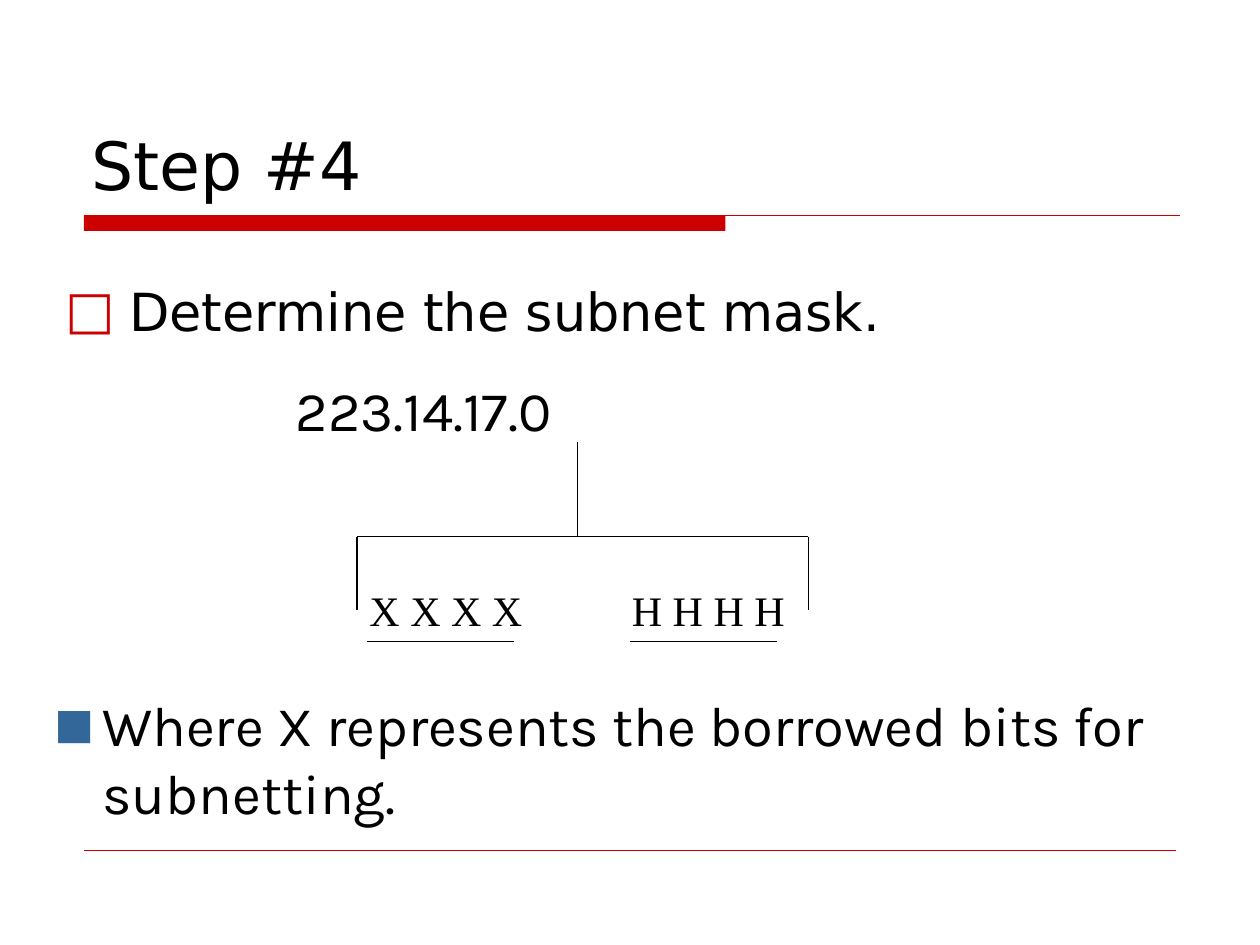
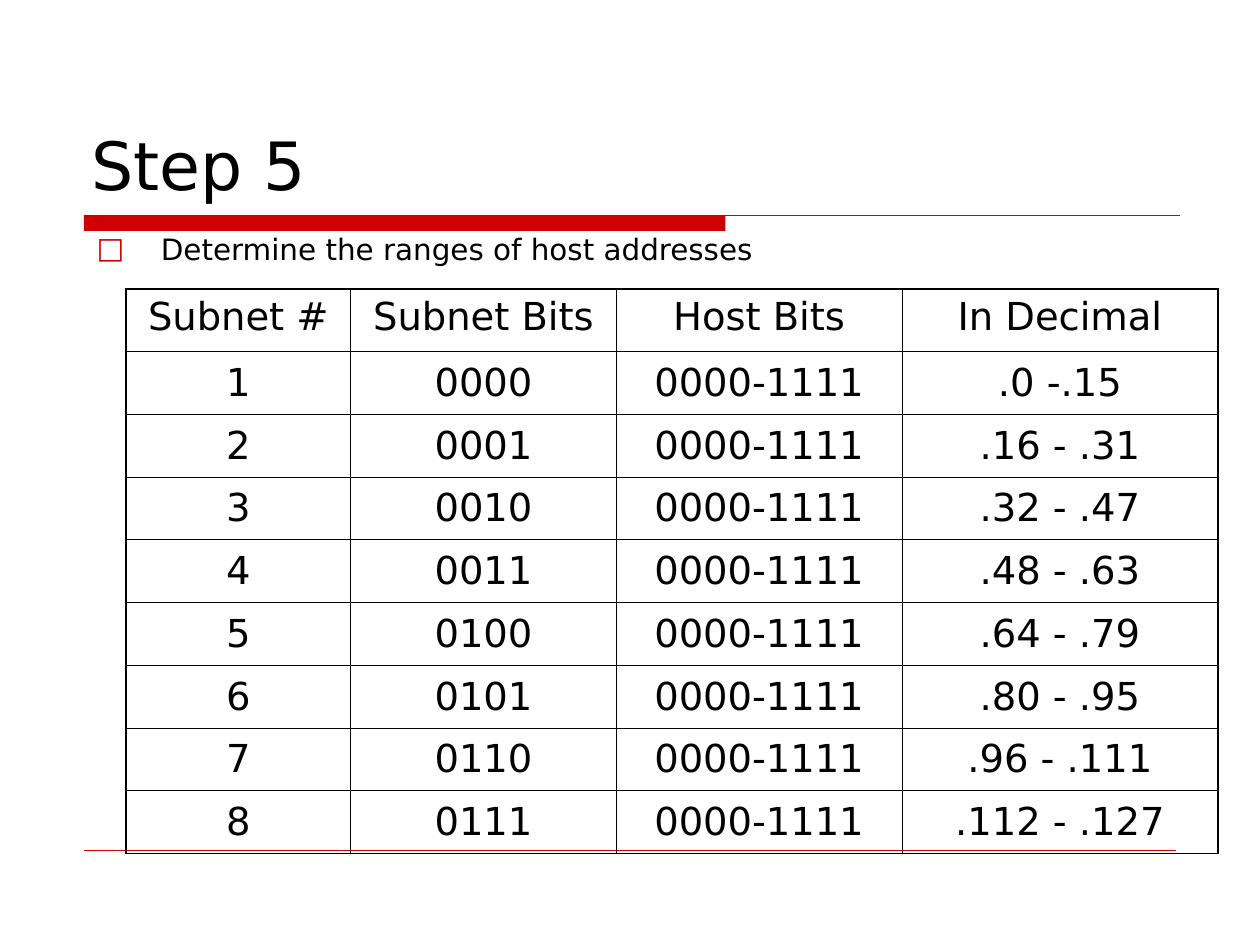
from lxml.etree import SubElement
from pptx import Presentation
from pptx.dml.color import RGBColor
from pptx.enum.shapes import MSO_CONNECTOR as Connector, MSO_SHAPE as Shape
from pptx.enum.text import MSO_ANCHOR as Anchor, MSO_AUTO_SIZE as AutoSize, PP_ALIGN as Align
from pptx.oxml.ns import qn
from pptx.util import Inches, Pt

COLUMNS, ROWS = 120, 90
UNIT = Inches(10) / COLUMNS
RED, BLUE, BLACK = "CC0000", "336699", "000000"
SANS, KARLA, SERIF = "DejaVu Sans", "Karla", "Times New Roman"
TITLE_AREA = (7.5, 4, 105, 16)
HOSTS_PER_SUBNET = 16


def color(hex_string):
    """Turn a hex string into a colour."""
    return RGBColor.from_string(hex_string)


def grid(*cells):
    """Convert grid units to slide lengths."""
    return [round(cell * UNIT) for cell in cells]


def place(shape, area):
    """Move a shape to a grid area."""
    shape.left, shape.top, shape.width, shape.height = grid(*area)


def add_bullet(paragraph, char, hex_string, percent, indent):
    """Give a paragraph a coloured bullet and a hanging indent."""
    props = paragraph._p.get_or_add_pPr()
    props.set("marL", str(Inches(indent)))
    props.set("indent", str(-Inches(indent)))
    bullet_color = SubElement(props, qn("a:buClr"))
    SubElement(bullet_color, qn("a:srgbClr"), val=hex_string)
    SubElement(props, qn("a:buSzPct"), val=str(percent * 1000))
    SubElement(props, qn("a:buFont"), typeface=SANS)
    SubElement(props, qn("a:buChar"), char=char)


def write(frame, text, size, font=SANS, align=Align.LEFT, anchor=Anchor.TOP,
          before=0, bullet=None):
    """Write one formatted paragraph into a text frame."""
    frame.word_wrap = True
    frame.auto_size = AutoSize.NONE
    frame.vertical_anchor = anchor
    paragraph = frame.paragraphs[0]
    paragraph.alignment = align
    paragraph.space_before = Pt(before)
    run = paragraph.add_run()
    run.text = text
    run.font.size = Pt(size)
    run.font.name = font
    run.font.color.rgb = color(BLACK)
    if bullet:
        add_bullet(paragraph, *bullet)


def add_text(shapes, area, text, size, **format_options):
    """Add a text box on the grid."""
    box = shapes.add_textbox(*grid(*area))
    write(box.text_frame, text, size, **format_options)


def add_rule(shapes, start, end, hex_string=BLACK, width=0.75):
    """Draw a straight line between two grid points."""
    rule = shapes.add_connector(Connector.STRAIGHT, *grid(*start, *end))
    rule.line.color.rgb = color(hex_string)
    rule.line.width = Pt(width)
    SubElement(rule.element.spPr, qn("a:effectLst"))
    return rule


def decorate_layout(layout, slide):
    """Put the title band and the footer rule on the layout."""
    for holder in list(layout.placeholders):
        if holder.placeholder_format.idx >= 10:
            holder.element.getparent().remove(holder.element)
    band = slide.shapes.add_shape(Shape.RECTANGLE, *grid(8, 20.5, 61.1, 1.5))
    band.shadow.inherit = False
    band.fill.solid()
    band.fill.fore_color.rgb = color(RED)
    band.line.fill.background()
    title_rule = add_rule(slide.shapes, (8, 20.5), (112.4, 20.5), RED)
    footer_rule = add_rule(slide.shapes, (8, 81), (112, 81), RED, 0.25)
    for part in (band, title_rule, footer_rule):
        layout.shapes.element.append(part.element)


def fill_slide(slide, title, statement, area, size, before):
    """Fill the title and the bulleted statement."""
    place(slide.shapes.title, TITLE_AREA)
    write(slide.shapes.title.text_frame, title, 38, anchor=Anchor.BOTTOM)
    body = slide.placeholders[1]
    place(body, area)
    write(body.text_frame, statement, size, before=before,
          bullet=("□", RED, 100, 0.51))


def add_octet_diagram(slide):
    """Split the last octet into borrowed and host bits."""
    shapes = slide.shapes.add_group_shape().shapes
    left, right, stem, top = 34, 77, 55, 51.1
    add_text(shapes, (27, 35.2, 31, 7.7), "223.14.17.0", 32, font=KARLA, before=20)
    add_rule(shapes, (stem, top - 9), (stem, top))
    add_rule(shapes, (left, top), (right, top))
    for leg in (left, right):
        add_rule(shapes, (leg, top), (leg, top + 7))
    for letter, column, width in (("X", left, 20), ("H", 59, 18)):
        add_text(shapes, (column, top + 4, width, 6), " ".join(letter * 4), 24,
                 font=SERIF, before=15)
        add_rule(shapes, (column + 1, top + 10), (column + 15, top + 10))


def set_borders(cell, outer_sides):
    """Draw thick borders on the outer sides and thin ones elsewhere."""
    props = cell._tc.get_or_add_tcPr()
    for side in "LRTB":
        width = 1.08 if side in outer_sides else 0.45
        border = SubElement(props, qn(f"a:ln{side}"), w=str(Pt(width)))
        fill = SubElement(border, qn("a:solidFill"))
        SubElement(fill, qn("a:srgbClr"), val=BLACK)
    cell.fill.background()


def add_grid_table(slide, area, column_widths, rows):
    """Add a bordered table with centred text."""
    last_row, last_column = len(rows) - 1, len(column_widths) - 1
    table = slide.shapes.add_table(len(rows), len(column_widths), *grid(*area)).table
    for column, width in zip(table.columns, grid(*column_widths)):
        column.width = width
    for r, values in enumerate(rows):
        for c, value in enumerate(values):
            edges = {"L": c == 0, "R": c == last_column, "T": r == 0, "B": r == last_row}
            cell = table.cell(r, c)
            set_borders(cell, [side for side, outer in edges.items() if outer])
            write(cell.text_frame, value, 22, align=Align.CENTER, before=5.5)
            cell.vertical_anchor = Anchor.MIDDLE if r else Anchor.TOP


def subnet_rows(count):
    """List the header and the address range of each subnet."""
    rows = [("Subnet #", "Subnet Bits", "Host Bits", "In Decimal")]
    for subnet in range(count):
        first = subnet * HOSTS_PER_SUBNET
        dash = " - " if subnet else " -"
        decimals = f".{first}{dash}.{first + HOSTS_PER_SUBNET - 1}"
        rows.append((str(subnet + 1), f"{subnet:04b}", "0000-1111", decimals))
    return rows


def main():
    """Build the two subnetting steps."""
    deck = Presentation()
    deck.slide_width, deck.slide_height = grid(COLUMNS, ROWS)
    layout = deck.slide_layouts[1]

    mask_step = deck.slides.add_slide(layout)
    decorate_layout(layout, mask_step)
    fill_slide(mask_step, "Step #4", "Determine the subnet mask.", (5, 26, 102, 9), 30, 7.5)
    add_octet_diagram(mask_step)
    add_text(mask_step.shapes, (4, 65.2, 113, 9),
             "Where X represents the borrowed bits for subnetting.", 32,
             font=KARLA, before=8, bullet=("■", BLUE, 75, 0.38))

    range_step = deck.slides.add_slide(layout)
    fill_slide(range_step, "Step 5", "Determine the ranges of host addresses",
               (8, 21.4, 109, 4.7), 16.8, 6)
    add_grid_table(range_step, (12, 27.5, 104, 53.8), (21.4, 25.3, 27.2, 30.1),
                   subnet_rows(8))
    deck.save("out.pptx")


if __name__ == "__main__":
    main()
